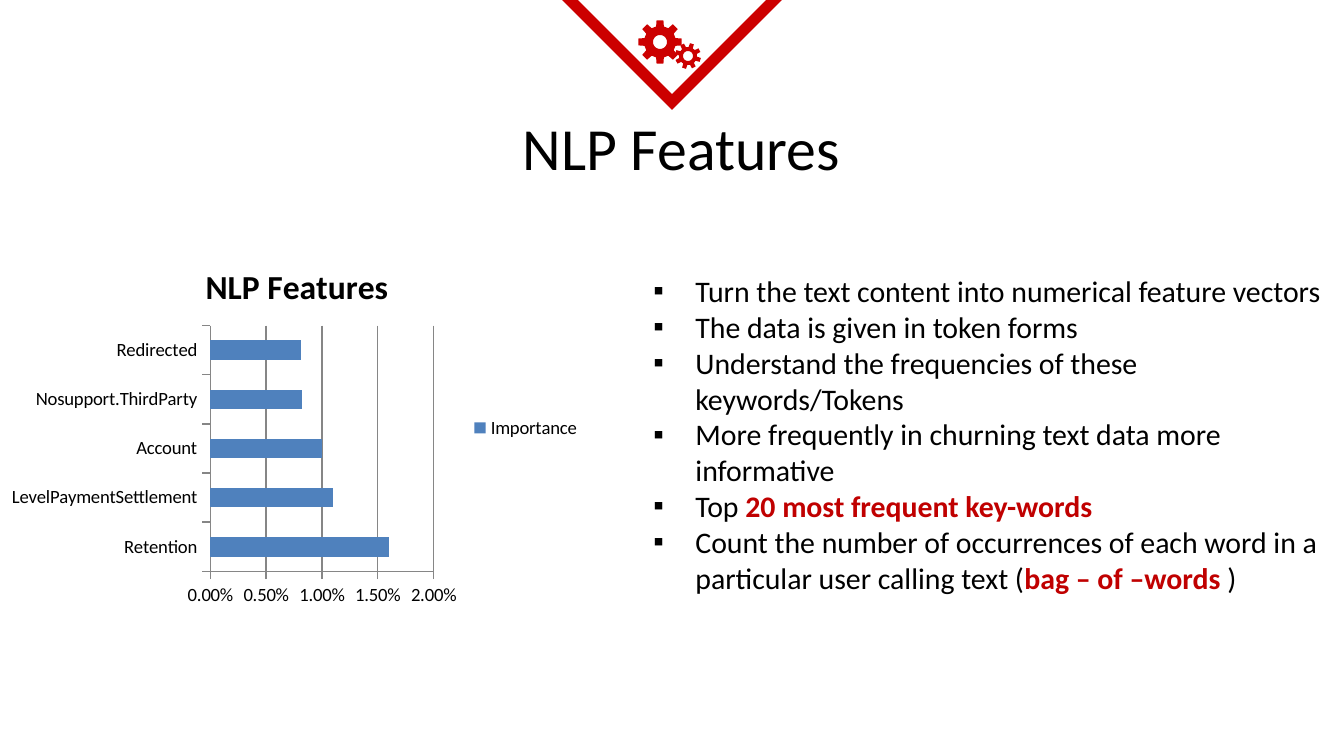
"""Build the NLP Features slide with a bar chart and a bullet list."""
import math

import lxml.etree
import pptx
import pptx.chart.data
import pptx.dml.color
import pptx.enum.chart
import pptx.enum.shapes
import pptx.enum.text
import pptx.oxml.ns
import pptx.util

PX = 914400 / 134.4
FONT = "Calibri"
COLORS = {"text": "000000", "emblem": "CC0000", "accent": "C00000",
          "bar": "4F81BD", "axis": "868686"}

TITLE = "NLP Features"
BULLETS = [
    [("Turn the text content into numerical feature vectors", False)],
    [("The data is given in token forms", False)],
    [("Understand the frequencies of these keywords/Tokens", False)],
    [("More frequently in churning text data more informative", False)],
    [("Top ", False), ("20 most frequent key-words", True)],
    [("Count the number of occurrences of each word in a particular user calling text (", False),
     ("bag – of –words ", True), (")", False)],
]
IMPORTANCE = {"Retention": 0.016, "LevelPaymentSettlement": 0.011, "Account": 0.01,
              "Nosupport.ThirdParty": 0.0082, "Redirected": 0.0081}
GEARS = [
    {"center": (660, 42), "tip": 22, "root": 16, "hole": 7, "turn": 0},
    {"center": (688, 56), "tip": 13, "root": 9, "hole": 5, "turn": 18},
]
TEETH = 8


def px(value):
    return round(value * PX)


def color(name):
    return pptx.dml.color.RGBColor.from_string(COLORS[name])


def add_text(paragraph, text, size=16, bold=False, color_name="text"):
    run = paragraph.add_run()
    run.text = text
    run.font.name = FONT
    run.font.size = pptx.util.Pt(size)
    run.font.bold = bold
    run.font.color.rgb = color(color_name)


def place(shape, left, top, width, height):
    shape.left, shape.top, shape.width, shape.height = map(px, (left, top, width, height))


def prepare_frame(shape):
    frame = shape.text_frame
    frame.word_wrap = True
    frame.auto_size = pptx.enum.text.MSO_AUTO_SIZE.NONE
    frame.vertical_anchor = pptx.enum.text.MSO_ANCHOR.TOP
    return frame


def add_emblem(slide):
    triangle = slide.shapes.add_shape(pptx.enum.shapes.MSO_SHAPE.ISOSCELES_TRIANGLE,
                                      px(562), px(-8), px(220), px(110))
    triangle.rotation = 180
    triangle.shadow.inherit = False
    triangle.fill.background()
    triangle.line.color.rgb = color("emblem")
    triangle.line.width = pptx.util.Pt(6)
    lxml.etree.SubElement(triangle.line._get_or_add_ln(),
                          pptx.oxml.ns.qn("a:miter"), lim="800000")
    group = slide.shapes.add_group_shape()
    for gear in GEARS:
        add_gear(group, **gear)


def add_gear(group, center, tip, root, hole, turn):
    def point(radius, degrees):
        angle = math.radians(degrees)
        return (px(center[0] + radius * math.cos(angle)),
                px(center[1] + radius * math.sin(angle)))

    tooth = [(root, -14), (tip, -9), (tip, 9), (root, 14)]
    outline = [point(radius, turn + index * 360 / TEETH + offset)
               for index in range(TEETH) for radius, offset in tooth]
    circle = [point(hole, -degrees) for degrees in range(0, 360, 15)]
    builder = group.shapes.build_freeform(*outline[0])
    builder.add_line_segments(outline[1:])
    builder.move_to(*circle[0])
    builder.add_line_segments(circle[1:])
    shape = builder.convert_to_shape()
    shape.shadow.inherit = False
    shape.fill.solid()
    shape.fill.fore_color.rgb = color("emblem")
    shape.line.fill.background()


def add_bullets(shape):
    frame = prepare_frame(shape)
    for index, parts in enumerate(BULLETS):
        paragraph = frame.add_paragraph() if index else frame.paragraphs[0]
        paragraph.space_before = pptx.util.Pt(0)
        properties = paragraph._p.get_or_add_pPr()
        properties.set("marL", str(px(42)))
        properties.set("indent", str(px(-42)))
        lxml.etree.SubElement(properties, pptx.oxml.ns.qn("a:buChar"), char="▪")
        for text, strong in parts:
            add_text(paragraph, text, bold=strong, color_name="accent" if strong else "text")


def add_importance_chart(slide):
    data = pptx.chart.data.CategoryChartData(number_format="0.00%")
    data.categories = list(IMPORTANCE)
    data.add_series("Importance", list(IMPORTANCE.values()))
    chart = slide.shapes.add_chart(pptx.enum.chart.XL_CHART_TYPE.BAR_CLUSTERED,
                                   0, px(243), px(594), px(370), data).chart
    chart.font.name = FONT
    chart.font.size = pptx.util.Pt(10)
    chart.font.color.rgb = color("text")
    chart.has_title = True
    add_text(chart.chart_title.text_frame.paragraphs[0], TITLE, size=18, bold=True)
    chart.chart_title.include_in_layout = False
    chart.has_legend = True
    chart.legend.position = pptx.enum.chart.XL_LEGEND_POSITION.RIGHT
    chart.legend.include_in_layout = False

    plot = chart.plots[0]
    plot.gap_width = 150
    plot.vary_by_categories = False
    fill = plot.series[0].format.fill
    fill.solid()
    fill.fore_color.rgb = color("bar")

    values = chart.value_axis
    values.minimum_scale, values.maximum_scale, values.major_unit = 0, 0.02, 0.005
    values.tick_labels.number_format = "0.00%"
    values.tick_labels.number_format_is_linked = False
    values.has_major_gridlines = True
    values.major_gridlines.format.line.color.rgb = color("axis")
    for axis in (values, chart.category_axis):
        axis.major_tick_mark = pptx.enum.chart.XL_TICK_MARK.OUTSIDE
        axis.format.line.color.rgb = color("axis")


def main():
    presentation = pptx.Presentation()
    presentation.slide_width, presentation.slide_height = px(1344), px(756)
    slide = presentation.slides.add_slide(presentation.slide_layouts[1])
    title, body = slide.placeholders
    add_emblem(slide)

    place(title, 418, 98, 527, 79)
    frame = prepare_frame(title)
    frame.margin_top = frame.margin_bottom = px(13)
    frame.paragraphs[0].alignment = pptx.enum.text.PP_ALIGN.CENTER
    add_text(frame.paragraphs[0], TITLE, size=32)

    place(body, 640, 266, 707, 421)
    add_bullets(body)
    add_importance_chart(slide)
    presentation.save("out.pptx")


if __name__ == "__main__":
    main()
